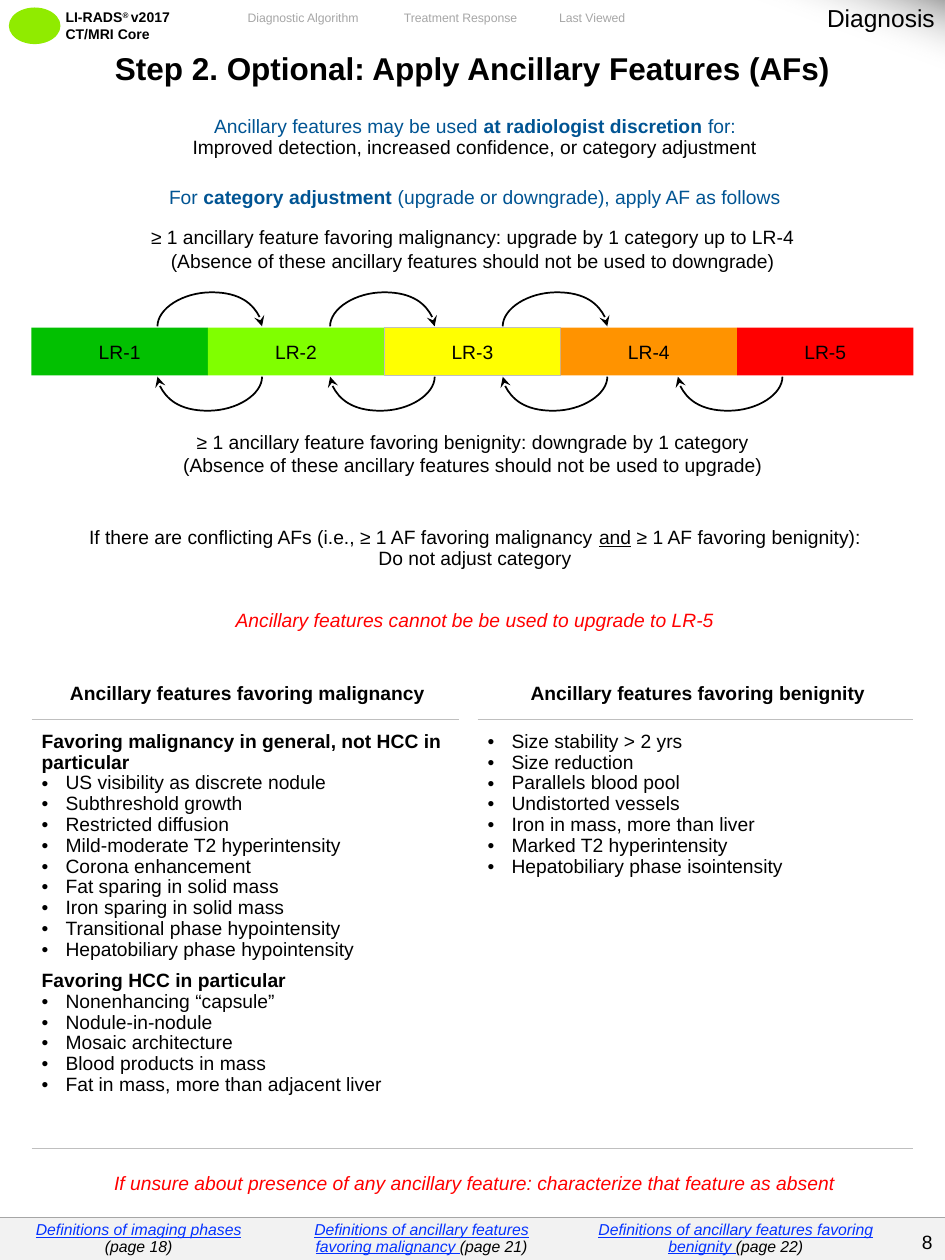
"""Build the ancillary features slide of the CT/MRI diagnostic guide."""
import pptx
import pptx.util
import pptx.dml.color
import pptx.enum.shapes
import pptx.enum.text
import pptx.oxml
import pptx.oxml.ns
from lxml import etree

Inches, Pt = pptx.util.Inches, pptx.util.Pt
qn = pptx.oxml.ns.qn
KIND = pptx.enum.shapes.MSO_SHAPE
ALIGN = pptx.enum.text.PP_ALIGN
ANCHOR = pptx.enum.text.MSO_ANCHOR
BLACK, WHITE, BLUE, RED, LINK = "000000", "FFFFFF", "005493", "FF0000", "0432FF"
PLAIN = "{2D5ABB26-0587-4C30-8999-92F81FD0307C}"


def hue(code):
    return pptx.dml.color.RGBColor.from_string(code)


def style(run, size, color, bold=False, italic=False, under=False, base=0):
    font = run.font
    font.name, font.size, font.bold, font.italic = "Arial", Pt(size), bold, italic
    font.underline = under
    font.color.rgb = hue(color)
    if base:
        run._r.get_or_add_rPr().set("baseline", str(base * 1000))


def write(frame, paras, align="CENTER", lead=None, gap=0, size=11, color=BLACK, **form):
    for num, para in enumerate(paras):
        line = frame.paragraphs[0] if num == 0 else frame.add_paragraph()
        line.alignment = ALIGN[align]
        line.space_before = line.space_after = Pt(0)
        if lead:
            line.line_spacing = lead
        runs = [(para, {})] if isinstance(para, str) else para
        if runs[0][0].startswith("• "):
            props = line._p.get_or_add_pPr()
            props.set("marL", str(Inches(0.19)))
            props.set("indent", str(-Inches(0.19)))
            etree.SubElement(props, qn("a:buFont")).set("typeface", "Arial")
            etree.SubElement(props, qn("a:buChar")).set("char", "•")
        elif num:
            line.space_before = Pt(gap)
        for words, extra in runs:
            run = line.add_run()
            run.text = words.removeprefix("• ")
            style(run, **{"size": size, "color": color, **form, **extra})


def pad(thing, sides):
    (thing.margin_left, thing.margin_top,
     thing.margin_right, thing.margin_bottom) = map(Inches, sides)


class Page:
    """Holds the style and the current slide, and draws each kind of element."""

    def __init__(self, deck):
        self.slide = deck.slides.add_slide(deck.slide_layouts[5])
        self.shapes = self.slide.shapes

    def title(self, words, *box):
        head = self.shapes.title
        head.left, head.top, head.width, head.height = map(Inches, box)
        head.text_frame.vertical_anchor = ANCHOR.TOP
        pad(head.text_frame, (0.1, 0.05, 0.1, 0.05))
        write(head.text_frame, [words], align="RIGHT", size=14)
        self.shapes._spTree.append(head._element)

    def label(self, paras, *box, wrap=True, anchor="MIDDLE", sides=(0.1, 0.05, 0.1, 0.05), **form):
        frame = self.shapes.add_textbox(*map(Inches, box)).text_frame
        frame.word_wrap = wrap
        frame.vertical_anchor = ANCHOR[anchor]
        pad(frame, sides)
        write(frame, paras, **form)

    def block(self, kind, fill, *box, words=None, edge=None):
        shape = self.shapes.add_shape(kind, *map(Inches, box))
        shape.shadow.inherit = False
        shape.fill.solid()
        shape.fill.fore_color.rgb = hue(fill)
        shape.line.fill.background()
        if edge:
            shape.line.color.rgb = hue(edge)
            shape.line.width = Pt(0.25)
        if words:
            pad(shape.text_frame, (0, 0, 0, 0))
            shape.text_frame.vertical_anchor = ANCHOR.MIDDLE
            write(shape.text_frame, [words])
        return shape

    def shade(self, *box):
        shape = self.block(KIND.RIGHT_TRIANGLE, WHITE, *box)
        shape.rotation = 180
        shape.fill.gradient()
        shape.fill.gradient_angle = 70
        for stop, spot, code in zip(shape.fill.gradient_stops, (0, 0.5), ("A6A6A6", WHITE)):
            stop.position = spot
            stop.color.rgb = hue(code)
        tint = shape._element.findall(".//" + qn("a:gs"))[-1][0]
        etree.SubElement(tint, qn("a:alpha")).set("val", "0")

    def arc(self, left, top, turn=0):
        start, peak, end = (0, 0.27), (0.43, 0), (0.83, 0.27)
        place = [(Inches(left + x), Inches(top + y)) for x, y in (start, peak, end)]
        pen = self.shapes.build_freeform(*place[0])
        pen.add_line_segments(place[1:], close=False)
        shape = pen.convert_to_shape()
        shape.shadow.inherit = False
        shape.fill.background()
        shape.line.color.rgb = hue(BLACK)
        shape.line.width = Pt(1)
        tail = etree.SubElement(shape.line._get_or_add_ln(), qn("a:tailEnd"))
        tail.set("type", "stealth")
        bends = [((0, 0.13), (0.2, 0), peak), ((0.66, 0), (0.83, 0.15), end)]
        for step, bend in zip(shape._element.findall(".//" + qn("a:lnTo")), bends):
            step.clear()
            curve = etree.Element(qn("a:cubicBezTo"))
            for x, y in bend:
                dot = etree.SubElement(curve, qn("a:pt"))
                dot.set("x", str(Inches(x)))
                dot.set("y", str(Inches(y)))
            step.getparent().replace(step, curve)
        shape.rotation = turn

    def table(self, left, top, cols, rows, fill):
        frame = self.shapes.add_table(len(rows), len(cols), Inches(left), Inches(top),
                                      Inches(sum(cols)), Inches(sum(rows)))
        grid = frame.table
        grid.first_row = grid.horz_banding = False
        frame._element.find(".//" + qn("a:tableStyleId")).text = PLAIN
        for col, width in zip(grid.columns, cols):
            col.width = Inches(width)
        for row, height in zip(grid.rows, rows):
            row.height = Inches(height)
        for cell in grid.iter_cells():
            pad(cell, (0, 0, 0, 0))
            cell.fill.solid()
            cell.fill.fore_color.rgb = hue(fill)
        return grid

    def cell(self, cell, paras, sides, anchor="MIDDLE", **form):
        pad(cell, sides)
        cell.vertical_anchor = ANCHOR[anchor]
        write(cell.text_frame, paras, **{"lead": 0.97, **form})

    def rule(self, cell, side, color, width):
        line = etree.Element(qn("a:" + side))
        line.set("w", str(Pt(width)))
        fill = etree.SubElement(line, qn("a:solidFill"))
        etree.SubElement(fill, qn("a:srgbClr")).set("val", color)
        cell._tc.get_or_add_tcPr().insert(0, line)


def main():
    deck = pptx.Presentation()
    deck.slide_width, deck.slide_height = Inches(7.5), Inches(10)
    page = Page(deck)
    bold, black = {"bold": True}, {"color": BLACK}

    page.block(KIND.OVAL, "90EB00", 0.07, 0.06, 0.41, 0.29)
    page.label([[("LI-RADS", {}), ("® ", {"base": 30}), ("v2017", {})], "CT/MRI Core"],
               0.45, 0.03, 1.29, 0.34, anchor="TOP", sides=(0.07, 0.04, 0.07, 0.04),
               align="LEFT", size=8, bold=True)
    for words, left, width in (("Diagnostic Algorithm", 1.83, 1.15),
                               ("Treatment Response", 3.08, 1.15), ("Last Viewed", 4.32, 0.76)):
        page.label([words], left, 0.03, width, 0.22, wrap=False, size=7, color="A6A6A6")

    grid = page.table(0.25, 0.4, (3.39, 0.15, 3.46),
                      (0.43, 0.54, 2.57, 0.77, 0.48, 0.49, 3.41, 0.48), WHITE)
    wide = (
        (0, ["Step 2. Optional: Apply Ancillary Features (AFs)"], (0.1, 0, 0.1, 0.15),
         {"size": 18, "bold": True, "lead": 1}),
        (1, [[("Ancillary features may be used ", {}), ("at radiologist discretion ", bold),
              ("for:", {})],
             [("Improved detection, increased confidence, or category adjustment", black)]],
         (0.08, 0.05, 0.04, 0.1), {"color": BLUE}),
        (2, [[("For ", {}), ("category adjustment ", bold),
              ("(upgrade or downgrade), apply AF as follows", {})]],
         (0.08, 0.1, 0.04, 2.3), {"color": BLUE, "anchor": "TOP"}),
        (3, [[("If there are conflicting AFs (i.e., ≥ 1 AF favoring malignancy ", {}),
              ("and", {"under": True}), (" ≥ 1 AF favoring benignity):", {})],
             "Do not adjust category"], (0.08, 0.2, 0.04, 0.2), {}),
        (4, ["Ancillary features cannot be be used to upgrade to LR-5"],
         (0.08, 0.1, 0.04, 0.2), {"color": RED, "italic": True}),
        (7, ["If unsure about presence of any ancillary feature: "
             "characterize that feature as absent"],
         (0.08, 0.2, 0.04, 0.1), {"color": RED, "italic": True, "anchor": "TOP"}),
    )
    for row, paras, sides, form in wide:
        grid.cell(row, 0).merge(grid.cell(row, 2))
        page.cell(grid.cell(row, 0), paras, sides, **form)

    harm = [[("Favoring malignancy in general, not HCC in particular", bold)],
            "• US visibility as discrete nodule", "• Subthreshold growth",
            "• Restricted diffusion", "• Mild-moderate T2 hyperintensity",
            "• Corona enhancement", "• Fat sparing in solid mass",
            "• Iron sparing in solid mass", "• Transitional phase hypointensity",
            "• Hepatobiliary phase hypointensity", [("Favoring HCC in particular", bold)],
            "• Nonenhancing “capsule”", "• Nodule-in-nodule", "• Mosaic architecture",
            "• Blood products in mass", "• Fat in mass, more than adjacent liver"]
    safe = ["• Size stability > 2 yrs", "• Size reduction", "• Parallels blood pool",
            "• Undistorted vessels", "• Iron in mass, more than liver",
            "• Marked T2 hyperintensity", "• Hepatobiliary phase isointensity"]
    for col, name, items in ((0, "malignancy", harm), (2, "benignity", safe)):
        page.cell(grid.cell(5, col), ["Ancillary features favoring " + name],
                  (0.08, 0.2, 0.04, 0.1), bold=True)
        page.cell(grid.cell(6, col), items, (0.08, 0.1, 0.04, 0.1),
                  anchor="TOP", align="LEFT", gap=6)
        page.rule(grid.cell(5, col), "lnB", "BFBFBF", 0.5)
        page.rule(grid.cell(6, col), "lnT", "BFBFBF", 0.5)
    for col in range(3):
        page.rule(grid.cell(6, col), "lnB", "BFBFBF", 0.5)
        page.rule(grid.cell(7, col), "lnT", "BFBFBF", 0.5)

    foot = page.table(0, 9.66, (2.2, 2.29, 2.7, 0.31), (0.34,), "F2F2F2")
    link = {"color": LINK, "under": True}
    notes = ([[("Definitions of imaging phases", link)], "(page 18)"],
             [[("Definitions of ancillary features favoring malignancy ", link),
               ("(page 21)", {})]],
             [[("Definitions of ancillary features favoring benignity ", link),
               ("(page 22)", {})]])
    for col, paras in enumerate(notes):
        page.cell(foot.cell(0, col), paras, (0.1, 0.02, 0.1, 0.02),
                  size=9, italic=True, lead=0.95)
    for cell in foot.iter_cells():
        page.rule(cell, "lnT", "A6A6A6", 0.25)
    page.label(["8"], 7.16, 9.71, 0.34, 0.29, wrap=False, align="RIGHT")

    for num, fill in enumerate(("02C001", "80FF00", "FFFF01", "FF9300", RED)):
        page.block(KIND.RECTANGLE, fill, 0.25 + 1.4 * num, 2.6, 1.4, 0.38,
                   words=f"LR-{num + 1}", edge="BFBFBF" if num == 2 else None)
    for left in (1.25, 2.62, 3.99):
        page.arc(left, 2.32)
    for left in (1.25, 2.62, 3.99, 5.38):
        page.arc(left, 2.99, turn=180)
    for top, rule, ban in ((1.74, "malignancy: upgrade by 1 category up to LR-4", "downgrade"),
                           (3.36, "benignity: downgrade by 1 category", "upgrade")):
        page.label(["≥ 1 ancillary feature favoring " + rule,
                    f"(Absence of these ancillary features should not be used to {ban})"],
                   0.43, top, 6.65, 0.47)

    page.shade(5.99, 0, 1.51, 0.55)
    page.title("Diagnosis", 5.42, -0.03, 2.1, 0.34)
    deck.save("out.pptx")


if __name__ == "__main__":
    main()
